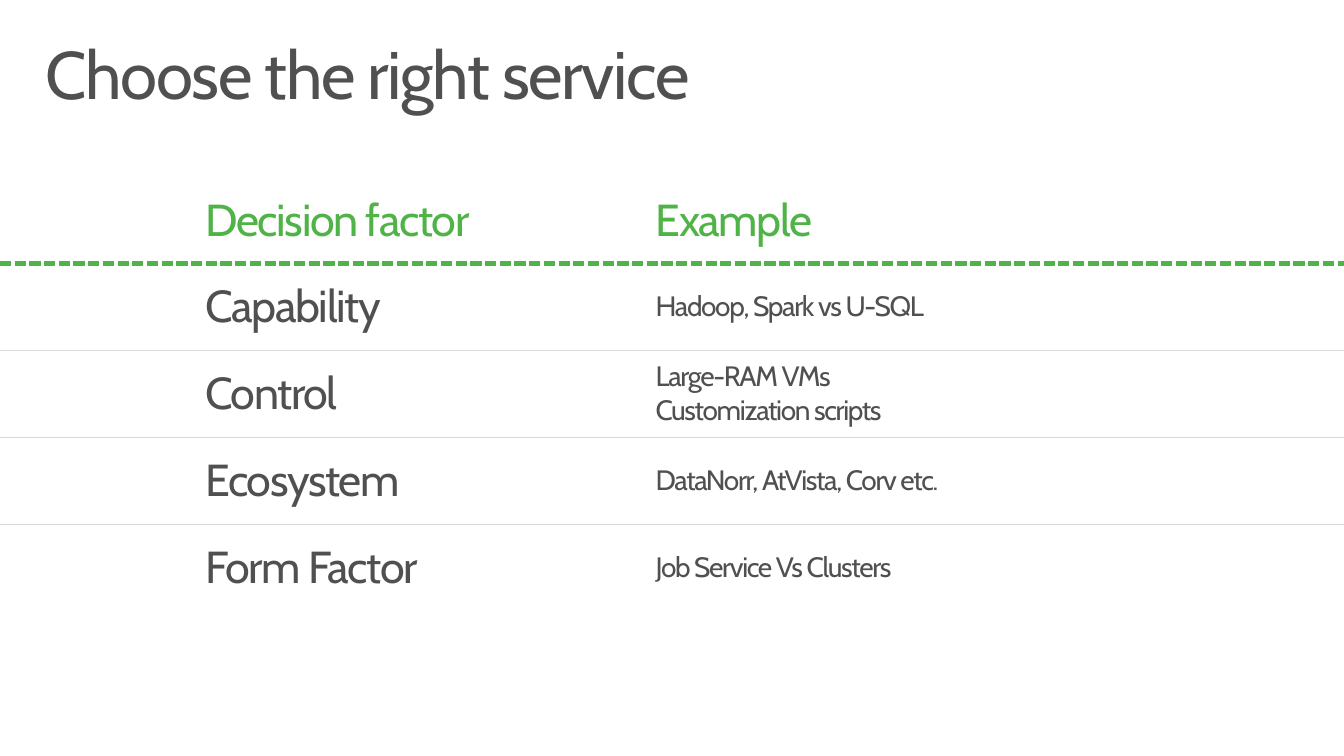
from dataclasses import dataclass

from lxml.etree import SubElement
from pptx import Presentation
from pptx.dml.color import RGBColor
from pptx.enum.text import MSO_ANCHOR, MSO_AUTO_SIZE, PP_ALIGN
from pptx.oxml.ns import qn
from pptx.util import Cm, Pt


@dataclass(frozen=True)
class Theme:
    font: str = "Cabin"
    text: str = "505050"
    accent: str = "50B347"
    rule: str = "D9D9D9"
    background: str = "FFFFFF"
    title_size: int = 48
    factor_size: int = 32
    example_size: int = 20
    tracking: int = -100  # hundredths of a point
    header_rule: float = 4.5
    row_rule: float = 0.25


class SlideBuilder:
    def __init__(self, presentation, theme):
        self.theme = theme
        title_only = presentation.slide_layouts[5]
        self.slide = presentation.slides.add_slide(title_only)

    def format_text(self, text_frame, size, color):
        for paragraph in text_frame.paragraphs:
            paragraph.alignment = PP_ALIGN.LEFT
            for run in paragraph.runs:
                run.font.name = self.theme.font
                run.font.size = Pt(size)
                run.font.bold = False
                run.font.color.rgb = RGBColor.from_string(color)
                run.font._element.set("spc", str(self.theme.tracking))

    def title(self, wording, left, top, width, height):
        title = self.slide.shapes.title
        title.left, title.top = Cm(left), Cm(top)
        title.width, title.height = Cm(width), Cm(height)
        frame = title.text_frame
        frame.text = wording
        frame.word_wrap = True
        frame.auto_size = MSO_AUTO_SIZE.NONE
        frame.vertical_anchor = MSO_ANCHOR.TOP
        frame.margin_left = frame.margin_right = Cm(0.41)
        frame.margin_top = frame.margin_bottom = Cm(0.25)
        frame.paragraphs[0].line_spacing = 0.9
        self.format_text(frame, self.theme.title_size, self.theme.text)

    def cell_borders(self, cell, top=None, bottom=None):
        """Draw the given (color, points, dash) rules and clear the other sides."""
        properties = cell._tc.get_or_add_tcPr()
        sides = (("a:lnL", None), ("a:lnR", None), ("a:lnT", top), ("a:lnB", bottom))
        for position, (tag, rule) in enumerate(sides):
            line = SubElement(properties, qn(tag))
            properties.insert(position, line)
            if rule is None:
                SubElement(line, qn("a:noFill"))
                continue
            color, points, dash = rule
            line.set("w", str(Pt(points)))
            fill = SubElement(line, qn("a:solidFill"))
            SubElement(fill, qn("a:srgbClr")).set("val", color)
            SubElement(line, qn("a:prstDash")).set("val", dash)

    def table(self, rows, column_widths, top, row_height):
        """Put the rows after an empty indent column, with the first row as header."""
        theme = self.theme
        table = self.slide.shapes.add_table(
            len(rows), len(column_widths), Cm(0), Cm(top),
            Cm(sum(column_widths)), Cm(row_height * len(rows))).table
        table.first_row = table.horz_banding = False
        for column, width in zip(table.columns, column_widths):
            column.width = Cm(width)

        header_rule = (theme.accent, theme.header_rule, "sysDash")
        row_rule = (theme.rule, theme.row_rule, "solid")
        inner_rules = [header_rule] + [row_rule] * (len(rows) - 2)
        rules = [None, *inner_rules, None]

        for row_index, wordings in enumerate(rows):
            table.rows[row_index].height = Cm(row_height)
            is_header = row_index == 0
            for column_index, wording in enumerate(("", *wordings)):
                cell = table.cell(row_index, column_index)
                cell.fill.solid()
                cell.fill.fore_color.rgb = RGBColor.from_string(theme.background)
                self.cell_borders(cell, rules[row_index], rules[row_index + 1])
                cell.vertical_anchor = MSO_ANCHOR.MIDDLE
                cell.text_frame.text = wording
                is_example = column_index == 2 and not is_header
                self.format_text(
                    cell.text_frame,
                    theme.example_size if is_example else theme.factor_size,
                    theme.accent if is_header else theme.text)


DECISION_FACTORS = [
    ("Decision factor", "Example"),
    ("Capability", "Hadoop, Spark vs U-SQL"),
    ("Control", "Large-RAM VMs\nCustomization scripts"),
    ("Ecosystem", "DataNorr, AtVista, Corv etc."),
    ("Form Factor", "Job Service Vs Clusters"),
]


def main():
    presentation = Presentation()
    presentation.slide_width, presentation.slide_height = Cm(33.87), Cm(19.05)
    builder = SlideBuilder(presentation, Theme())
    builder.title("Choose the right service", 0.74, 0.79, 32.36, 2.57)
    builder.table(DECISION_FACTORS, column_widths=(4.92, 11.35, 17.6),
                  top=4.45, row_height=2.19)
    presentation.save("out.pptx")


if __name__ == "__main__":
    main()
